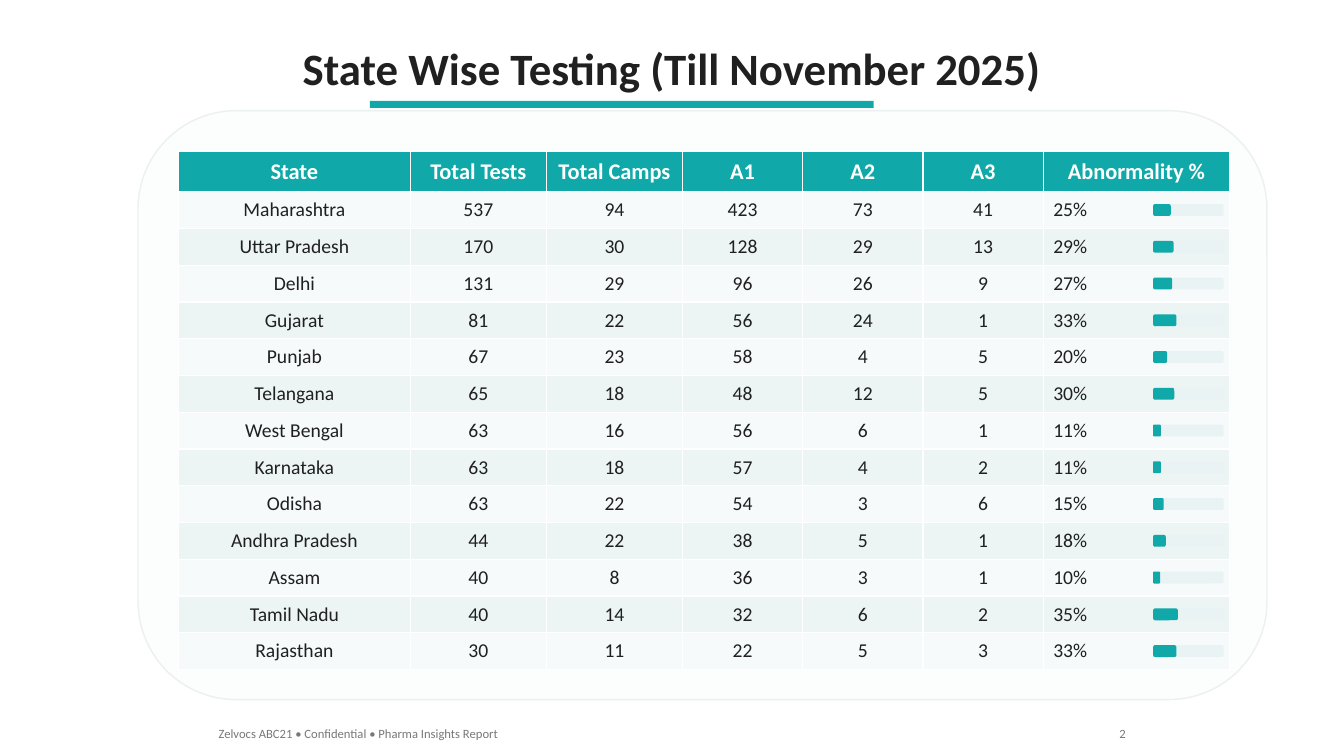
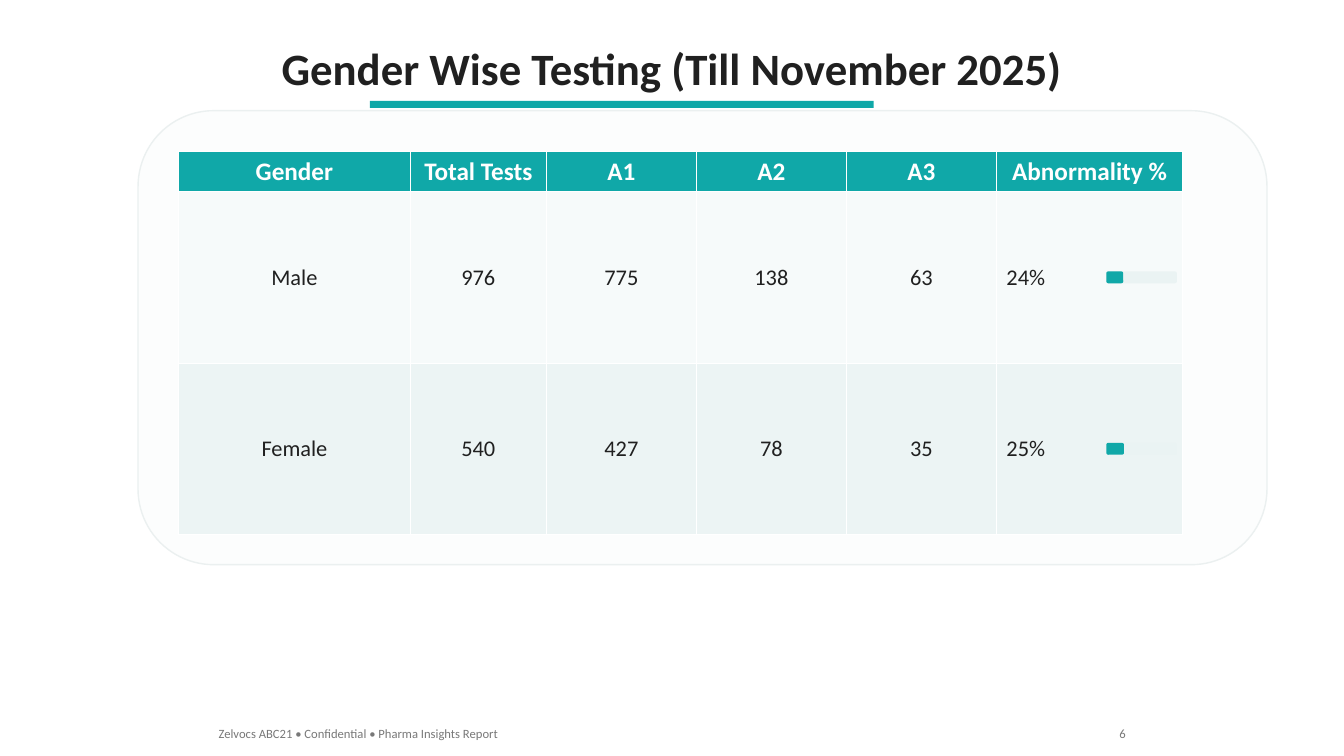
import pptx
import pptx.dml.color
import pptx.enum.shapes
import pptx.enum.text
import pptx.util

Cm = pptx.util.Cm
ALIGN = pptx.enum.text.PP_ALIGN
SHAPE = pptx.enum.shapes.MSO_SHAPE

# Shared look
COLORS = {
    "accent": "10A8A8", "ink": "202020", "muted": "787878", "white": "FFFFFF",
    "panel": "FCFDFD", "panel_line": "EBF0F0", "track": "EAF3F3",
    "row_light": "F6FAFA", "row_dark": "ECF4F4",
}
FORMATS = {
    "title": {"size": 32, "bold": True, "color": "ink"},
    "header": {"size": 16, "bold": True, "color": "white"},
    "body": {"size": 14, "bold": False, "color": "ink"},
    "footer": {"size": 9, "bold": False, "color": "muted"},
}
FONT_NAME = "Calibri"
FOOTER = "Zelvocs ABC21 • Confidential • Pharma Insights Report"

# Shared geometry, in centimetres
SLIDE_WIDTH, SLIDE_HEIGHT = 33.87, 19.05
TABLE_LEFT, TABLE_TOP, HEADER_HEIGHT = 4.5, 3.81, 1.02
PANEL_LEFT, PANEL_WIDTH = 3.48, 28.45
PANEL_PAD_TOP, PANEL_PAD_BOTTOM = 1.02, 0.76
TRACK_WIDTH, BAR_HEIGHT, TRACK_OFFSET = 1.78, 0.3, 1.93

# Slide content
STATES = {
    "title": "State Wise Testing (Till November 2025)",
    "number": 2,
    "extra_size": 0,
    "widths": [5.84, 3.43, 3.43, 3.03, 3.03, 3.03, 4.7],
    "body_height": 12.04,
    "header": ["State", "Total Tests", "Total Camps", "A1", "A2", "A3", "Abnormality %"],
    "rows": [
        ("Maharashtra", 537, 94, 423, 73, 41, 25),
        ("Uttar Pradesh", 170, 30, 128, 29, 13, 29),
        ("Delhi", 131, 29, 96, 26, 9, 27),
        ("Gujarat", 81, 22, 56, 24, 1, 33),
        ("Punjab", 67, 23, 58, 4, 5, 20),
        ("Telangana", 65, 18, 48, 12, 5, 30),
        ("West Bengal", 63, 16, 56, 6, 1, 11),
        ("Karnataka", 63, 18, 57, 4, 2, 11),
        ("Odisha", 63, 22, 54, 3, 6, 15),
        ("Andhra Pradesh", 44, 22, 38, 5, 1, 18),
        ("Assam", 40, 8, 36, 3, 1, 10),
        ("Tamil Nadu", 40, 14, 32, 6, 2, 35),
        ("Rajasthan", 30, 11, 22, 5, 3, 33),
    ],
}
GENDERS = {
    "title": "Gender Wise Testing (Till November 2025)",
    "number": 6,
    "extra_size": 2,
    "widths": [5.84, 3.43, 3.78, 3.78, 3.78, 4.7],
    "body_height": 8.64,
    "header": ["Gender", "Total Tests", "A1", "A2", "A3", "Abnormality %"],
    "rows": [
        ("Male", 976, 775, 138, 63, 24),
        ("Female", 540, 427, 78, 35, 25),
    ],
}


def color(name):
    return pptx.dml.color.RGBColor.from_string(COLORS[name])


def paint(fill, name):
    fill.solid()
    fill.fore_color.rgb = color(name)


def write(text_frame, text, style, align, extra_size=0):
    paragraph = text_frame.paragraphs[0]
    paragraph.alignment = align
    run = paragraph.add_run()
    run.text = text
    values = FORMATS[style]
    font_values = {
        "name": FONT_NAME,
        "size": pptx.util.Pt(values["size"] + extra_size),
        "bold": values["bold"],
    }
    for attribute, value in font_values.items():
        setattr(run.font, attribute, value)
    run.font.color.rgb = color(values["color"])


def add_text(slide, box, text, style, align):
    shape = slide.shapes.add_textbox(*map(Cm, box))
    shape.text_frame.word_wrap = True
    write(shape.text_frame, text, style, align)


def add_block(slide, kind, box, fill, line=None):
    shape = slide.shapes.add_shape(kind, *map(Cm, box))
    shape.shadow.inherit = False
    paint(shape.fill, fill)
    if line:
        shape.line.color.rgb = color(line)
        shape.line.width = pptx.util.Pt(1)
    else:
        shape.line.fill.background()


def add_results_table(slide, content):
    widths, rows = content["widths"], content["rows"]
    row_height = content["body_height"] / len(rows)
    frame = slide.shapes.add_table(
        len(rows) + 1, len(widths), Cm(TABLE_LEFT), Cm(TABLE_TOP),
        Cm(sum(widths)), Cm(HEADER_HEIGHT + content["body_height"]))
    table = frame.table
    for column, width in zip(table.columns, widths):
        column.width = Cm(width)

    last = len(widths) - 1
    for row_index, values in enumerate([content["header"], *rows]):
        is_header = row_index == 0
        table.rows[row_index].height = Cm(HEADER_HEIGHT if is_header else row_height)
        if is_header:
            style, fill = "header", "accent"
        else:
            style, fill = "body", "row_light" if row_index % 2 else "row_dark"
        for column_index, value in enumerate(values):
            is_percent = column_index == last and not is_header
            cell = table.cell(row_index, column_index)
            cell.vertical_anchor = pptx.enum.text.MSO_ANCHOR.MIDDLE
            paint(cell.fill, fill)
            write(cell.text_frame, f"{value}%" if is_percent else str(value), style,
                  ALIGN.LEFT if is_percent else ALIGN.CENTER, content["extra_size"])


def add_percent_bars(slide, content):
    left = TABLE_LEFT + sum(content["widths"]) - TRACK_OFFSET
    row_height = content["body_height"] / len(content["rows"])
    for index, row in enumerate(content["rows"]):
        middle = TABLE_TOP + HEADER_HEIGHT + (index + 0.5) * row_height
        top = middle - BAR_HEIGHT / 2
        for share, fill in ((1, "track"), (row[-1] / 100, "accent")):
            add_block(slide, SHAPE.ROUNDED_RECTANGLE,
                      (left, top, TRACK_WIDTH * share, BAR_HEIGHT), fill)


def add_results_slide(presentation, content):
    slide = presentation.slides.add_slide(presentation.slide_layouts[6])

    # Title and underline
    add_text(slide, (0, 0.89, SLIDE_WIDTH, 1.63), content["title"], "title", ALIGN.CENTER)
    add_block(slide, SHAPE.RECTANGLE, (9.32, 2.54, 12.7, 0.18), "accent")

    # Panel around the table
    table_height = HEADER_HEIGHT + content["body_height"]
    add_block(slide, SHAPE.ROUNDED_RECTANGLE,
              (PANEL_LEFT, TABLE_TOP - PANEL_PAD_TOP, PANEL_WIDTH,
               table_height + PANEL_PAD_TOP + PANEL_PAD_BOTTOM),
              "panel", "panel_line")

    # Results
    add_results_table(slide, content)
    add_percent_bars(slide, content)

    # Footer
    add_text(slide, (5.26, 18.16, 12, 0.64), FOOTER, "footer", ALIGN.LEFT)
    add_text(slide, (26.62, 18.16, 2, 0.64), str(content["number"]), "footer", ALIGN.RIGHT)


def main():
    presentation = pptx.Presentation()
    presentation.slide_width = Cm(SLIDE_WIDTH)
    presentation.slide_height = Cm(SLIDE_HEIGHT)
    for content in (STATES, GENDERS):
        add_results_slide(presentation, content)
    presentation.save("out.pptx")


if __name__ == "__main__":
    main()
